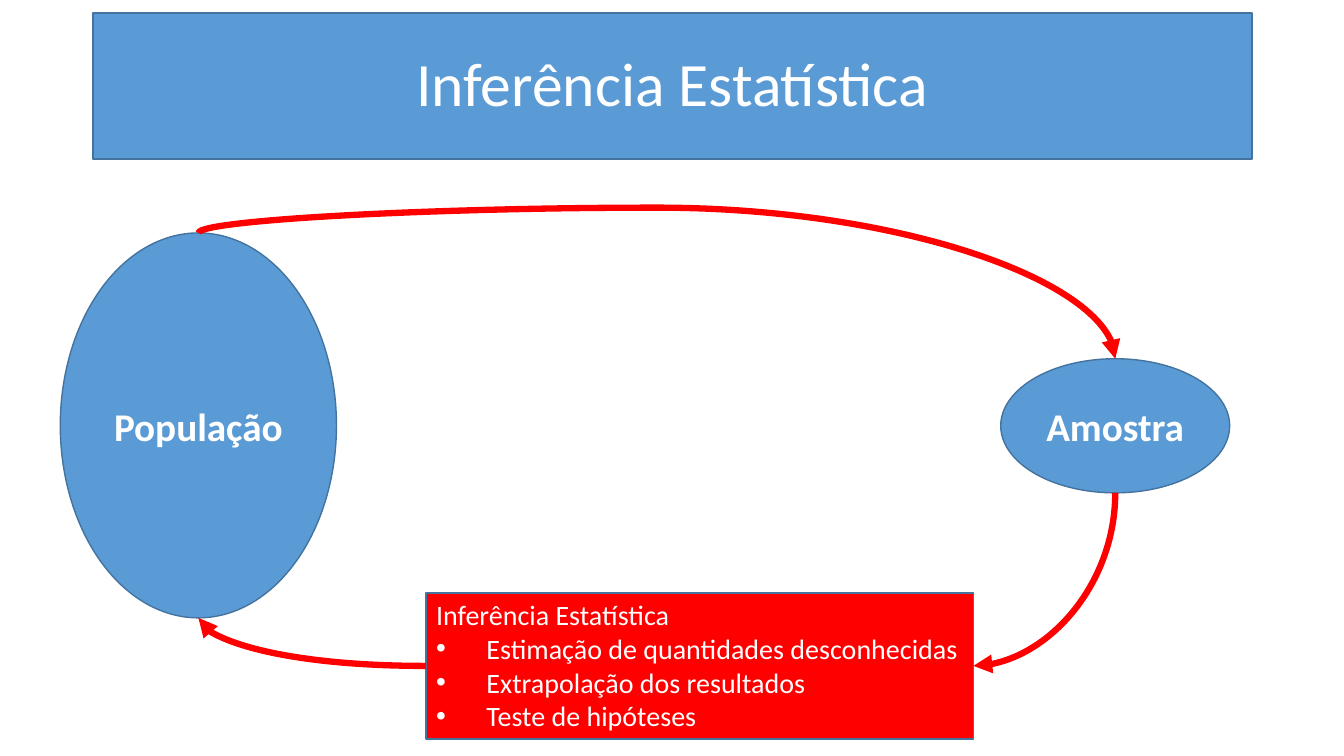
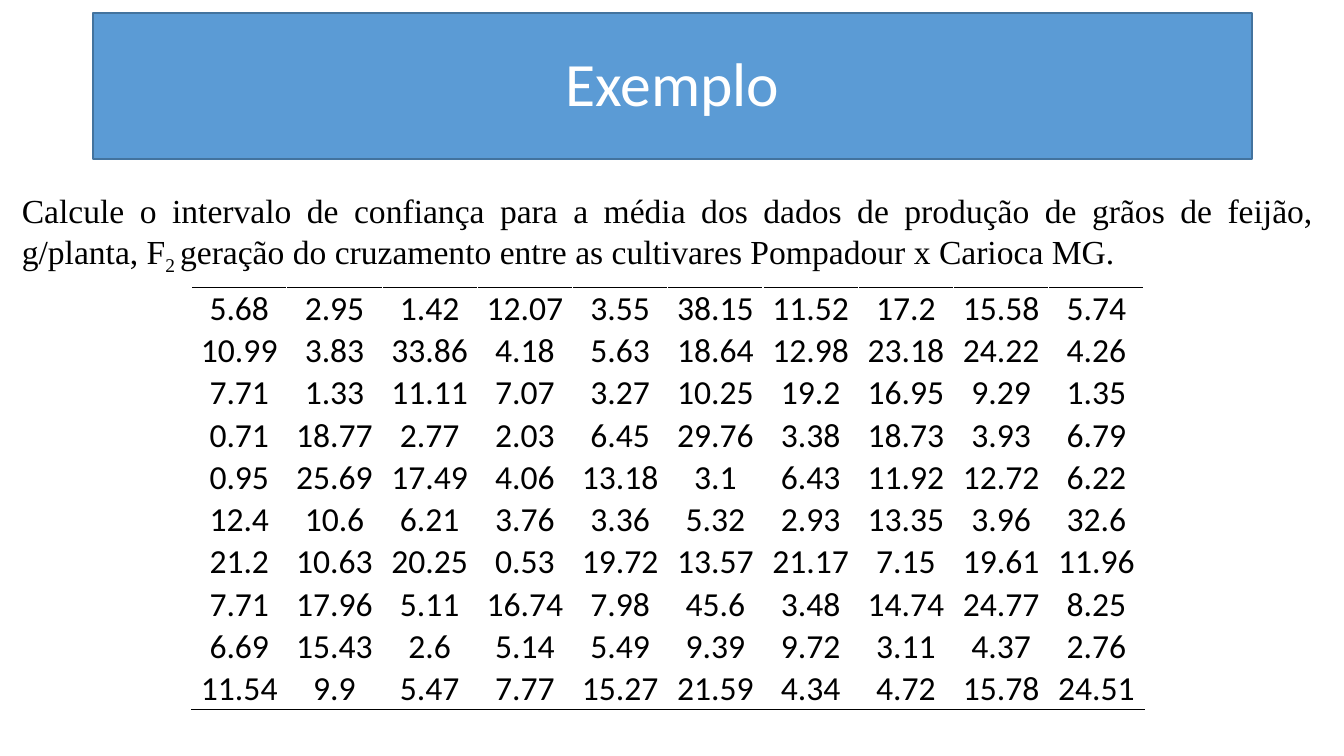
import pptx
import pptx.dml.color
import pptx.enum.shapes
import pptx.enum.text
import pptx.oxml
import pptx.oxml.ns
import pptx.util
from lxml import etree

Cm, Pt = pptx.util.Cm, pptx.util.Pt
SHAPE = pptx.enum.shapes.MSO_SHAPE
ALIGN = pptx.enum.text.PP_ALIGN
ANCHOR = pptx.enum.text.MSO_ANCHOR
qn = pptx.oxml.ns.qn

BLUE, OUTLINE, RED, WHITE, BLACK = "5B9BD5", "43739E", "FF0000", "FFFFFF", "000000"


def paint(shape, fill):
    """Give a shape a flat fill and the common thin outline."""
    shape.fill.solid()
    shape.fill.fore_color.rgb = pptx.dml.color.RGBColor.from_string(fill)
    shape.line.color.rgb = pptx.dml.color.RGBColor.from_string(OUTLINE)
    shape.line.width = Pt(1)
    shape.shadow.inherit = False


def style(paragraph, size, color, align, font="Calibri", bold=False):
    paragraph.alignment = align
    for run in paragraph.runs:
        run.font.name = font
        run.font.size = Pt(size)
        run.font.bold = bold
        run.font.color.rgb = pptx.dml.color.RGBColor.from_string(color)


prs = pptx.Presentation()
prs.slide_width, prs.slide_height = Cm(33.87), Cm(19.05)

# Both slides share the blue title band
slides = []
for heading in ("Inferência Estatística", "Exemplo"):
    slide = prs.slides.add_slide(prs.slide_layouts[5])
    title = slide.shapes.title
    title.left, title.top, title.width, title.height = Cm(2.34), Cm(0.33), Cm(29.21), Cm(3.68)
    paint(title, BLUE)
    title.text_frame.text = heading
    title.text_frame.vertical_anchor = ANCHOR.MIDDLE
    title.text_frame.paragraphs[0].line_spacing = 0.9
    style(title.text_frame.paragraphs[0], 44, WHITE, ALIGN.CENTER)
    slides.append(slide)
cycle_slide, example_slide = slides

# Slide 1: population, sample and inference
ellipses = []
for label, left, top, width, height in (
    ("População", 1.52, 5.87, 6.96, 9.7),
    ("Amostra", 25.22, 9.04, 5.77, 3.38),
):
    ellipse = cycle_slide.shapes.add_shape(SHAPE.OVAL, Cm(left), Cm(top), Cm(width), Cm(height))
    paint(ellipse, BLUE)
    ellipse.text_frame.text = label
    ellipse.text_frame.vertical_anchor = ANCHOR.MIDDLE
    style(ellipse.text_frame.paragraphs[0], 28, WHITE, ALIGN.CENTER, bold=True)
    ellipses.append(ellipse)
population, sample = ellipses

inference = cycle_slide.shapes.add_shape(SHAPE.RECTANGLE, Cm(10.74), Cm(14.94), Cm(13.79), Cm(3.68))
paint(inference, RED)
inference_text = inference.text_frame
inference_text.word_wrap = False
inference_text.auto_size = pptx.enum.text.MSO_AUTO_SIZE.SHAPE_TO_FIT_TEXT
inference_text.vertical_anchor = ANCHOR.TOP
inference_text.text = "\n".join((
    "Inferência Estatística",
    "Estimação de quantidades desconhecidas",
    "Extrapolação dos resultados",
    "Teste de hipóteses",
))
for index, paragraph in enumerate(inference_text.paragraphs):
    if index:
        properties = paragraph._p.get_or_add_pPr()
        properties.set("marL", str(Cm(1.27)))
        properties.set("indent", str(-Cm(1.27)))
        etree.SubElement(properties, qn("a:buFont")).set("typeface", "Arial")
        etree.SubElement(properties, qn("a:buChar")).set("char", "•")
    style(paragraph, 20, WHITE, ALIGN.LEFT)

# Connection sites: ellipse 0 top, 4 bottom; rectangle 1 left, 3 right
population_x = population.left + population.width // 2
sample_x = sample.left + sample.width // 2
inference_y = inference.top + inference.height // 2
sites = {
    "population top": (population, 0, population_x, population.top),
    "population bottom": (population, 4, population_x, population.top + population.height),
    "sample top": (sample, 0, sample_x, sample.top),
    "sample bottom": (sample, 4, sample_x, sample.top + sample.height),
    "inference left": (inference, 1, inference.left, inference_y),
    "inference right": (inference, 3, inference.left + inference.width, inference_y),
}
for start, end, preset, rotation, flipped, bend in (
    ("sample bottom", "inference right", "curvedConnector2", 90, False, None),
    ("inference left", "population bottom", "curvedConnector2", 180, False, None),
    ("population top", "sample top", "curvedConnector3", 270, True, -20100),
):
    start_shape, start_site, x1, y1 = sites[start]
    end_shape, end_site, x2, y2 = sites[end]
    width, height = abs(x2 - x1), abs(y2 - y1)
    if rotation in (90, 270):
        width, height = height, width
    left, top = (x1 + x2 - width) // 2, (y1 + y2 - height) // 2
    near, far = (left + width, left) if flipped else (left, left + width)
    arrow = cycle_slide.shapes.add_connector(
        pptx.enum.shapes.MSO_CONNECTOR.CURVE, near, top, far, top + height)
    arrow.line.color.rgb = pptx.dml.color.RGBColor.from_string(RED)
    arrow.line.width = Pt(4.5)

    arrow_xml = arrow._element
    arrow_xml.spPr.find(qn("a:xfrm")).set("rot", str(rotation * 60000))
    geometry = arrow_xml.spPr.find(qn("a:prstGeom"))
    geometry.set("prst", preset)
    if bend is not None:
        guide = etree.SubElement(geometry.find(qn("a:avLst")), qn("a:gd"))
        guide.set("name", "adj1")
        guide.set("fmla", f"val {bend}")
    etree.SubElement(arrow_xml.spPr.find(qn("a:ln")), qn("a:tailEnd")).set("type", "triangle")
    etree.SubElement(arrow_xml.spPr, qn("a:effectLst"))
    links = next(arrow_xml.iter(qn("p:cNvCxnSpPr")))
    for tag, shape, site in (("a:stCxn", start_shape, start_site), ("a:endCxn", end_shape, end_site)):
        link = etree.SubElement(links, qn(tag))
        link.set("id", str(shape.shape_id))
        link.set("idx", str(site))

# Slide 2: bean yield table
yields = [line.split() for line in """\
5.68 2.95 1.42 12.07 3.55 38.15 11.52 17.2 15.58 5.74
10.99 3.83 33.86 4.18 5.63 18.64 12.98 23.18 24.22 4.26
7.71 1.33 11.11 7.07 3.27 10.25 19.2 16.95 9.29 1.35
0.71 18.77 2.77 2.03 6.45 29.76 3.38 18.73 3.93 6.79
0.95 25.69 17.49 4.06 13.18 3.1 6.43 11.92 12.72 6.22
12.4 10.6 6.21 3.76 3.36 5.32 2.93 13.35 3.96 32.6
21.2 10.63 20.25 0.53 19.72 13.57 21.17 7.15 19.61 11.96
7.71 17.96 5.11 16.74 7.98 45.6 3.48 14.74 24.77 8.25
6.69 15.43 2.6 5.14 5.49 9.39 9.72 3.11 4.37 2.76
11.54 9.9 5.47 7.77 15.27 21.59 4.34 4.72 15.78 24.51""".splitlines()]
row_count, column_count = len(yields), len(yields[0])
table = example_slide.shapes.add_table(
    row_count, column_count, Cm(4.83), Cm(7.24), Cm(2.4 * column_count), Cm(1.05 * row_count)).table
table.first_row = table.horz_banding = False
for row, values in enumerate(yields):
    for column, value in enumerate(values):
        cell = table.cell(row, column)
        cell.text_frame.text = value
        cell.vertical_anchor = ANCHOR.MIDDLE
        cell.margin_left = cell.margin_right = cell.margin_top = Cm(0.03)
        cell.margin_bottom = 0
        style(cell.text_frame.paragraphs[0], 24, BLACK, ALIGN.CENTER)
        for side, color in (
            ("L", WHITE),
            ("R", WHITE),
            ("T", BLACK if row == 0 else WHITE),
            ("B", BLACK if row == row_count - 1 else WHITE),
        ):
            border = etree.SubElement(cell._tc.get_or_add_tcPr(), qn("a:ln" + side))
            border.set("w", str(Pt(1)))
            border_fill = etree.SubElement(border, qn("a:solidFill"))
            etree.SubElement(border_fill, qn("a:srgbClr")).set("val", color)
        cell.fill.solid()
        cell.fill.fore_color.rgb = pptx.dml.color.RGBColor.from_string(WHITE)

task = example_slide.shapes.add_textbox(Cm(0.3), Cm(4.67), Cm(33.04), Cm(3.33)).text_frame
task.word_wrap = True
question = task.paragraphs[0]
for part in (
    "Calcule o intervalo de confiança para a média dos dados de produção de grãos de feijão, g/planta, F",
    "2 ",
    "geração do cruzamento entre as cultivares Pompadour x Carioca MG.",
):
    question.add_run().text = part
style(question, 24, BLACK, ALIGN.JUSTIFY, font="Times New Roman")
question.runs[1]._r.get_or_add_rPr().set("baseline", "-25000")

prs.save("out.pptx")
